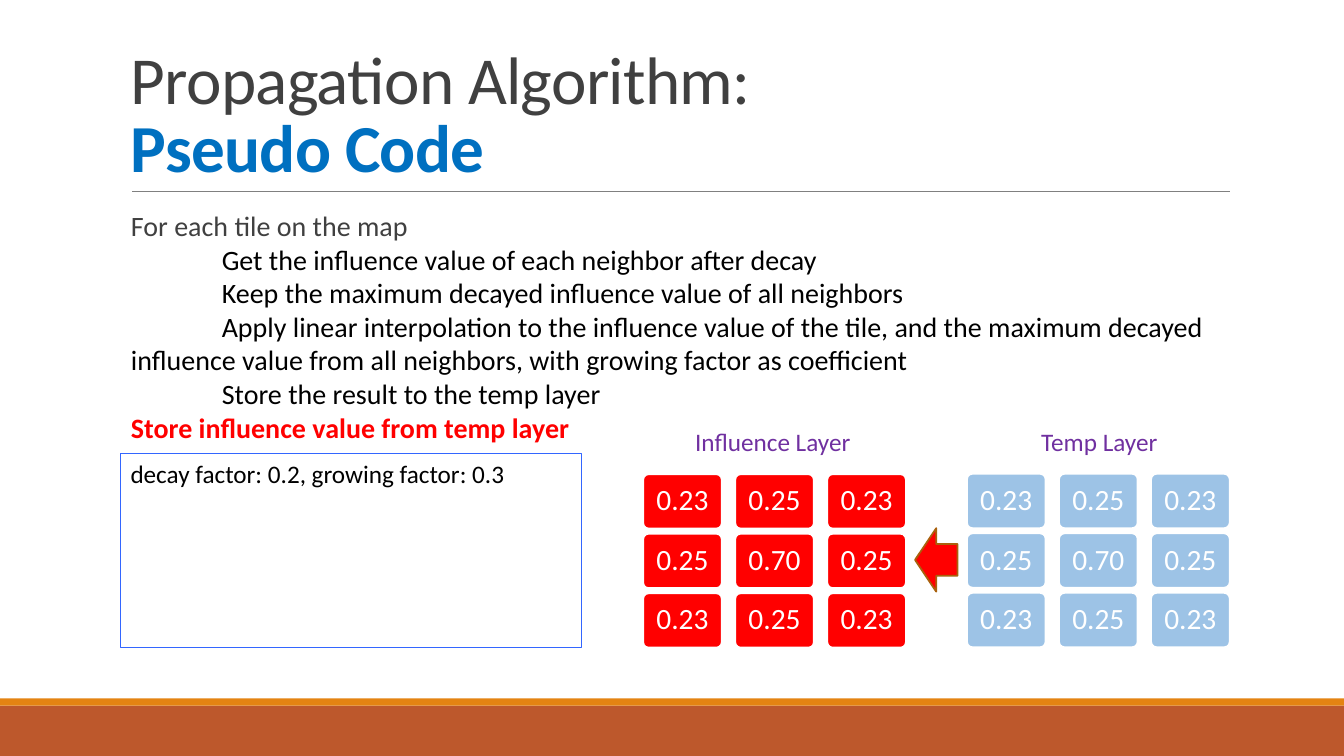
from dataclasses import dataclass

from lxml import etree
from pptx import Presentation
from pptx.dml.color import RGBColor
from pptx.enum.shapes import MSO_CONNECTOR, MSO_SHAPE
from pptx.enum.text import MSO_ANCHOR, PP_ALIGN
from pptx.oxml.ns import qn
from pptx.util import Cm, Pt

RECT, ROUND = MSO_SHAPE.RECTANGLE, MSO_SHAPE.ROUNDED_RECTANGLE
ARROW, LINE = MSO_SHAPE.LEFT_ARROW, MSO_CONNECTOR.STRAIGHT
TOP, MIDDLE, BOTTOM = MSO_ANCHOR.TOP, MSO_ANCHOR.MIDDLE, MSO_ANCHOR.BOTTOM
LEFT, CENTER = PP_ALIGN.LEFT, PP_ALIGN.CENTER
FONT = "Calibri"
DARK, BLACK, WHITE = "404040", "000000", "FFFFFF"
RED, PURPLE = "FF0000", "7030A0"


@dataclass
class Box:
    left: float
    top: float
    width: float
    height: float

    def emu(self) -> list:
        return [Cm(v) for v in (self.left, self.top, self.width, self.height)]


@dataclass
class Step:
    text: str
    color: str = BLACK
    bold: bool = False
    inner: bool = True


@dataclass
class Layer:
    name: str
    label: Box
    left: float
    top: float
    fill: str


STEPS = [
    Step("For each tile on the map", DARK, inner=False),
    Step("Get the influence value of each neighbor after decay"),
    Step("Keep the maximum decayed influence value of all neighbors"),
    Step("Apply linear interpolation to the influence value of the tile, "
         "and the maximum decayed influence value from all neighbors, "
         "with growing factor as coefficient"),
    Step("Store the result to the temp layer"),
    Step("Store influence value from temp layer", RED, bold=True, inner=False),
]
LAYERS = [
    Layer("Temp Layer", Box(25.99, 10.62, 4.5, 1.02), 24.37, 11.94, "9DC3E6"),
    Layer("Influence Layer", Box(17.27, 10.62, 4.5, 1.02), 16.21, 11.95, RED),
]
VALUES = [
    ["0.23", "0.25", "0.23"],
    ["0.25", "0.70", "0.25"],
    ["0.23", "0.25", "0.23"],
]
STEP_X, STEP_Y = 2.32, 1.5
TILE_W, TILE_H = 1.98, 1.37


def rgb(code: str) -> RGBColor:
    return RGBColor.from_string(code)


def style(run, size: float, color: str, bold: bool = False) -> None:
    run.font.name = FONT
    run.font.size = Pt(size)
    run.font.bold = bold
    run.font.color.rgb = rgb(color)


def add_shape(shapes, kind, box: Box, fill: str = "", line: str = "",
              width: float = 1.25):
    shape = shapes.add_shape(kind, *box.emu())
    shape.shadow.inherit = False
    if fill:
        shape.fill.solid()
        shape.fill.fore_color.rgb = rgb(fill)
    else:
        shape.fill.background()
    if line:
        shape.line.color.rgb = rgb(line)
        shape.line.width = Pt(width)
    else:
        shape.line.fill.background()
    return shape


def add_text(shapes, box: Box):
    frame = shapes.add_textbox(*box.emu()).text_frame
    frame.word_wrap = True
    return frame


def write(frame, text: str, size: float, color: str, align=LEFT,
          anchor=TOP) -> None:
    frame.text = text
    frame.vertical_anchor = anchor
    para = frame.paragraphs[0]
    para.alignment = align
    style(para.runs[0], size, color)


def add_title(shapes) -> None:
    frame = add_text(shapes, Box(3.05, 0.79, 27.94, 4.04))
    frame.vertical_anchor = BOTTOM
    para = frame.paragraphs[0]
    para.text = "Propagation Algorithm:\vPseudo Code"
    para.line_spacing = 0.85
    first, second = para.runs
    style(first, 48, DARK)
    style(second, 48, "0070C0", bold=True)
    for run in para.runs:
        run.font._element.set("spc", "-50")


def add_steps(shapes) -> None:
    frame = add_text(shapes, Box(3.05, 5.13, 27.94, 11.18))
    frame.margin_left = frame.margin_right = 0
    for i, step in enumerate(STEPS):
        para = frame.add_paragraph() if i else frame.paragraphs[0]
        para.text = step.text
        para.line_spacing = Pt(24)
        props = para._p.get_or_add_pPr()
        props.set("marL", str(Cm(0.25)))
        props.set("indent", str(Cm(2.29 if step.inner else 0)))
        style(para.runs[0], 20, step.color, step.bold)


def add_layer(shapes, layer: Layer) -> None:
    write(add_text(shapes, layer.label), layer.name, 18, PURPLE)
    for r, row in enumerate(VALUES):
        for c, value in enumerate(row):
            box = Box(layer.left + c * STEP_X, layer.top + r * STEP_Y,
                      TILE_W, TILE_H)
            tile = add_shape(shapes, ROUND, box, layer.fill, WHITE)
            tile.adjustments[0] = 0.1
            frame = tile.text_frame
            frame.margin_left = frame.margin_right = 0
            write(frame, value, 21, WHITE, CENTER, MIDDLE)
            frame.paragraphs[0].line_spacing = 0.9


def main() -> None:
    deck = Presentation()
    deck.slide_width, deck.slide_height = Cm(33.87), Cm(19.05)
    shapes = deck.slides.add_slide(deck.slide_layouts[6]).shapes

    # Footer bands and title rule
    add_shape(shapes, RECT, Box(0, 17.78, 33.87, 1.27), "BD582C")
    add_shape(shapes, RECT, Box(0, 17.6, 33.87, 0.18), "E48312")
    rule = shapes.add_connector(LINE, Cm(3.33), Cm(4.83), Cm(30.99), Cm(4.83))
    rule.line.color.rgb = rgb("808080")
    rule.line.width = Pt(0.5)
    etree.SubElement(rule._element.spPr, qn("a:effectLst"))

    # Title and pseudo code
    add_title(shapes)
    add_steps(shapes)

    # Layers with the arrow between them
    for layer in LAYERS:
        add_layer(shapes, layer)
    add_shape(shapes, ARROW, Box(23.06, 13.31, 1.07, 1.6), RED, "A9610D")

    # Factor box
    note = add_shape(shapes, RECT, Box(3.04, 11.43, 11.61, 4.88),
                     line="3366FF", width=0.75)
    write(note.text_frame, "decay factor: 0.2, growing factor: 0.3", 18, BLACK)

    deck.save("out.pptx")


if __name__ == "__main__":
    main()
